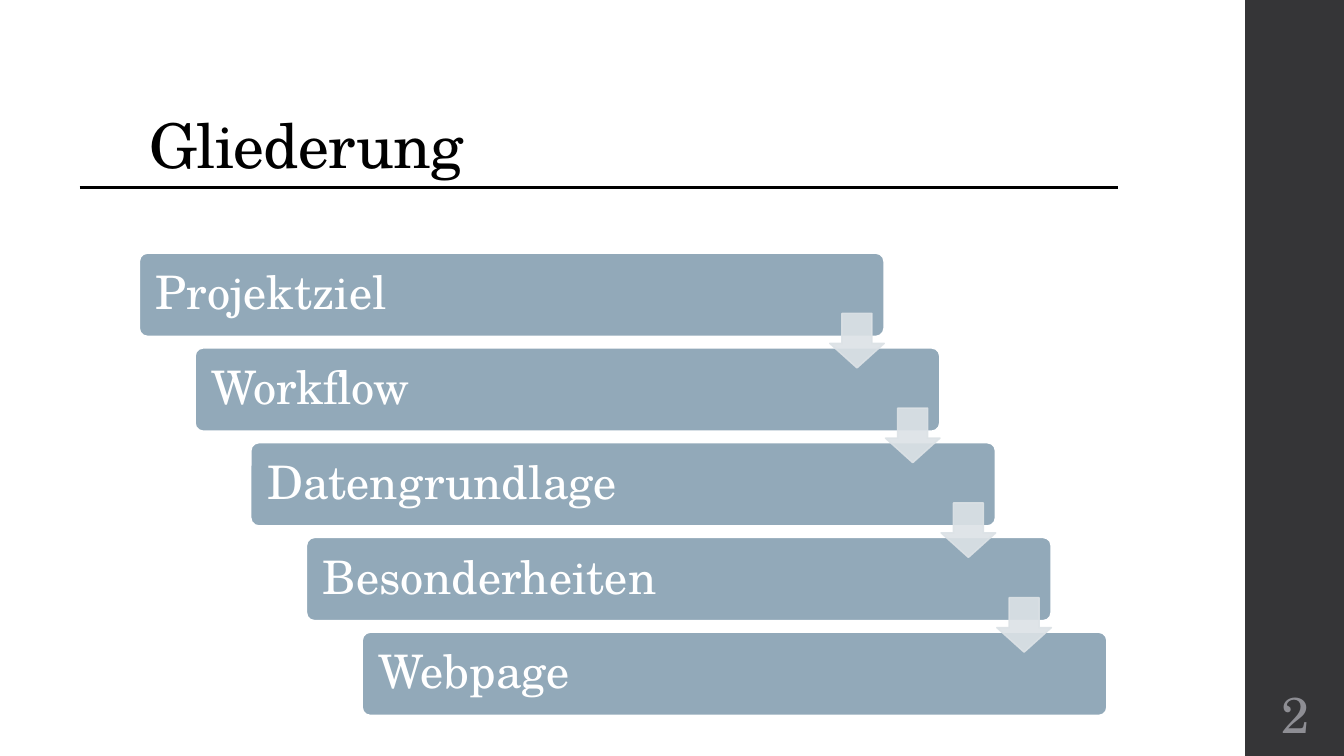
import pptx
import pptx.util
import pptx.dml.color
import pptx.enum.shapes
import pptx.enum.text
import pptx.oxml
import pptx.oxml.ns
from pptx.util import Inches

RGBColor = pptx.dml.color.RGBColor
SHAPE = pptx.enum.shapes.MSO_SHAPE
ALIGN = pptx.enum.text.PP_ALIGN
ANCHOR = pptx.enum.text.MSO_ANCHOR

TITLE = "Gliederung"
TOPICS = ["Projektziel", "Workflow", "Datengrundlage", "Besonderheiten", "Webpage"]
PAGE_NUMBER = "2"

FONT = "TeX Gyre Schola"
BLACK = RGBColor(0x00, 0x00, 0x00)
WHITE = RGBColor(0xFF, 0xFF, 0xFF)
STEEL = RGBColor(0x92, 0xA9, 0xB9)
PALE = RGBColor(0xDC, 0xE2, 0xE6)
CHARCOAL = RGBColor(0x35, 0x35, 0x37)
GREY = RGBColor(0x8E, 0x8E, 0x94)

STEP_LEFT, STEP_TOP = 1.38, 2.51
STEP_WIDTH, STEP_HEIGHT = 7.39, 0.83
SHIFT_X, SHIFT_Y = 0.5525, 0.94
ARROW_LEFT, ARROW_TOP, ARROW_SIZE = 8.23, 3.11, 0.54


def write(shape, text, size, color, align=ALIGN.LEFT, anchor=ANCHOR.MIDDLE,
          inset=None, line_spacing=None, tracking=None):
    frame = shape.text_frame
    frame.word_wrap = True
    frame.auto_size = pptx.enum.text.MSO_AUTO_SIZE.NONE
    frame.vertical_anchor = anchor
    if inset is not None:
        frame.margin_left = frame.margin_right = Inches(inset)
        frame.margin_top = frame.margin_bottom = Inches(inset)
    paragraph = frame.paragraphs[0]
    paragraph.alignment = align
    paragraph.line_spacing = line_spacing
    run = paragraph.add_run()
    run.text = text
    run.font.name = FONT
    run.font.size = pptx.util.Pt(size)
    run.font.color.rgb = color
    if tracking is not None:
        run.font._element.set("spc", str(int(tracking * 100)))


def add_block(slide, preset, left, top, width, height, fill,
              line=None, line_width=1, adjustments=(), opacity=None):
    block = slide.shapes.add_shape(
        preset, Inches(left), Inches(top), Inches(width), Inches(height))
    block.shadow.inherit = False
    block.fill.solid()
    block.fill.fore_color.rgb = fill
    if line is None:
        block.line.fill.background()
    else:
        block.line.color.rgb = line
        block.line.width = pptx.util.Pt(line_width)
    for index, value in enumerate(adjustments):
        block.adjustments[index] = value
    if opacity is not None:
        for color in block._element.spPr.iter(pptx.oxml.ns.qn("a:srgbClr")):
            alpha = pptx.oxml.parse_xml(
                f'<a:alpha {pptx.oxml.ns.nsdecls("a")} val="{opacity * 1000}"/>')
            color.append(alpha)
    return block


def main():
    deck = pptx.Presentation()
    deck.slide_width, deck.slide_height = Inches(13.33), Inches(7.5)
    slide = deck.slides.add_slide(deck.slide_layouts[5])

    title = slide.shapes.title
    title.left, title.top = Inches(1.38), Inches(0.4)
    title.width, title.height = Inches(10.6), Inches(1.45)
    write(title, TITLE, 44, BLACK, anchor=ANCHOR.BOTTOM, line_spacing=0.9, tracking=-0.5)

    add_block(slide, SHAPE.RECTANGLE, 12.35, 0, 1, 7.5, CHARCOAL)

    for index, topic in enumerate(TOPICS):
        step = add_block(
            slide, SHAPE.ROUNDED_RECTANGLE,
            STEP_LEFT + index * SHIFT_X, STEP_TOP + index * SHIFT_Y,
            STEP_WIDTH, STEP_HEIGHT, STEEL,
            line=WHITE, line_width=1.35, adjustments=[0.1])
        write(step, topic, 33, WHITE, inset=0.14, line_spacing=0.9)

    for index in range(len(TOPICS) - 1):
        add_block(
            slide, SHAPE.DOWN_ARROW,
            ARROW_LEFT + index * SHIFT_X, ARROW_TOP + index * SHIFT_Y,
            ARROW_SIZE, ARROW_SIZE, PALE,
            line=PALE, line_width=1.1, adjustments=[0.55, 0.45], opacity=90)

    title_rule = slide.shapes.add_connector(
        pptx.enum.shapes.MSO_CONNECTOR.STRAIGHT,
        Inches(0.79), Inches(1.86), Inches(11.09), Inches(1.86))
    title_rule.line.color.rgb = BLACK
    title_rule.line.width = pptx.util.Pt(2.25)
    title_rule._element.spPr.append(
        pptx.oxml.parse_xml(f'<a:effectLst {pptx.oxml.ns.nsdecls("a")}/>'))

    page_number = slide.shapes.add_textbox(
        Inches(12.35), Inches(6.75), Inches(1), Inches(0.65))
    write(page_number, PAGE_NUMBER, 36, GREY, align=ALIGN.CENTER, inset=0.05)

    deck.save("out.pptx")


if __name__ == "__main__":
    main()
